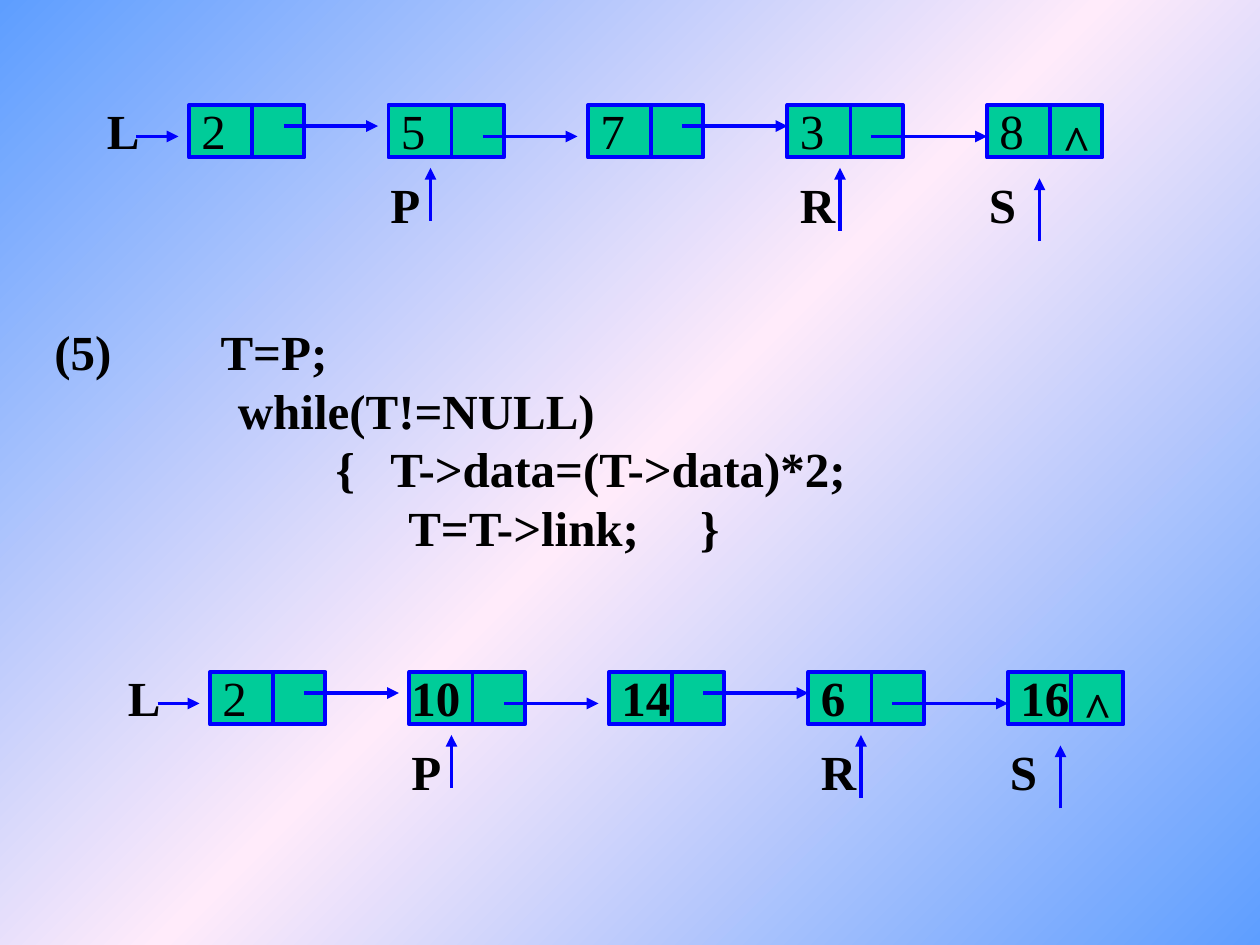
from dataclasses import dataclass
from typing import Any

import lxml.etree
import pptx
import pptx.dml.color
import pptx.enum.shapes
import pptx.enum.text
import pptx.oxml.ns
import pptx.util

Pt = pptx.util.Pt
qn = pptx.oxml.ns.qn

COLORS = {"ink": "000000", "line": "0000FF", "node": "00CC99", "edge": "5E9EFF", "middle": "FFEBFA"}
FONT = {"name": "Times New Roman", "size": Pt(28), "bold": True}
PITCH, NODE_W, NODE_H, SPLIT, TEXT_H = 114, 66, 30, 36, 41


@dataclass
class Label:
    text: str
    x: float
    y: float
    w: float
    bold: bool = True


@dataclass
class Line:
    x1: float
    y1: float
    x2: float
    y2: float
    arrow: bool = True


@dataclass
class LinkedList:
    x: float
    y: float
    values: list[Label]


LABELS = [
    Label("L", -54, -6, 36),
    Label("P", 108, 36, 84),
    Label("R", 342, 36, 60),
    Label("S", 450, 36, 54),
    Label("^", 4 * PITCH + SPLIT, 0, 30),
]
ARROWS = [
    Line(-30, 18, -6, 18),
    Line(54, 12, 108, 12),
    Line(168, 18, 222, 18),
    Line(282, 12, 342, 12),
    Line(390, 18, 456, 18),
    Line(138, 66, 138, 36),
    Line(372, 72, 372, 36),
    Line(486, 78, 486, 42),
]
BEFORE = [Label(v, i * PITCH, -6, 36, False) for i, v in enumerate("25738")]
AFTER = [
    Label("2", 0, -6, 36, False),
    Label("10", 108, -6, 48),
    Label("14", 228, -6, 72),
    Label("6", 342, -6, 36),
    Label("16", 456, -6, 60),
]
LISTS = [LinkedList(108, 60, BEFORE), LinkedList(120, 384, AFTER)]
CODE = [
    ("(5)\tT=P;", [95]),
    (" " * 15 + "while(T!=NULL)", []),
    (" " * 23 + "{\tT->data=(T->data)*2;", [192]),
    (" " * 29 + "T=T->link;\t}", [369]),
]


def rgb(name: str) -> pptx.dml.color.RGBColor:
    """Return the named colour."""
    return pptx.dml.color.RGBColor.from_string(COLORS[name])


def set_background(s: Any) -> None:
    """Fill the slide with a three-stop diagonal gradient."""
    fill = s.background.fill
    fill.gradient()
    grad = s._element.find(".//" + qn("a:gradFill"))
    for child in list(grad):
        grad.remove(child)
    stops = lxml.etree.SubElement(grad, qn("a:gsLst"))
    for pos, name in ((0, "edge"), (50000, "middle"), (100000, "edge")):
        stop = lxml.etree.SubElement(stops, qn("a:gs"), pos=str(pos))
        lxml.etree.SubElement(stop, qn("a:srgbClr"), val=COLORS[name])
    lxml.etree.SubElement(grad, qn("a:lin"), ang="13500000", scaled="0")


def add_run(p: Any, text: str, bold: bool) -> None:
    """Add a formatted run to a paragraph."""
    r = p.add_run()
    r.text = text
    for key, value in {**FONT, "bold": bold}.items():
        setattr(r.font, key, value)
    r.font.color.rgb = rgb("ink")


def add_box(shapes: Any, x: float, y: float, w: float, h: float) -> Any:
    """Add an empty wrapping text box and return its text frame."""
    tf = shapes.add_textbox(Pt(x), Pt(y), Pt(w), Pt(h)).text_frame
    tf.word_wrap = True
    tf.auto_size = pptx.enum.text.MSO_AUTO_SIZE.SHAPE_TO_FIT_TEXT
    return tf


def add_line(shapes: Any, line: Line, x: float, y: float) -> None:
    """Draw a straight line offset by x and y."""
    c = shapes.add_connector(
        pptx.enum.shapes.MSO_CONNECTOR.STRAIGHT,
        Pt(x + line.x1), Pt(y + line.y1), Pt(x + line.x2), Pt(y + line.y2),
    )
    c.line.color.rgb = rgb("line")
    c.line.width = Pt(2.25)
    sp_pr = c._element.spPr
    if line.arrow:
        lxml.etree.SubElement(sp_pr.find(qn("a:ln")), qn("a:tailEnd"), type="triangle")
    lxml.etree.SubElement(sp_pr, qn("a:effectLst"))


def add_node(shapes: Any, x: float, y: float) -> None:
    """Draw a list node with its data and link cells."""
    sp = shapes.add_shape(
        pptx.enum.shapes.MSO_SHAPE.RECTANGLE, Pt(x), Pt(y), Pt(NODE_W), Pt(NODE_H)
    )
    sp.shadow.inherit = False
    sp.fill.solid()
    sp.fill.fore_color.rgb = rgb("node")
    sp.line.color.rgb = rgb("line")
    sp.line.width = Pt(2.25)
    add_line(shapes, Line(SPLIT, 0, SPLIT, NODE_H, False), x, y)


def add_list(s: Any, chain: LinkedList) -> None:
    """Draw a linked list with its pointers as one group."""
    shapes = s.shapes.add_group_shape().shapes
    for i in range(len(chain.values)):
        add_node(shapes, chain.x + i * PITCH, chain.y)
    for arrow in ARROWS:
        add_line(shapes, arrow, chain.x, chain.y)
    for label in LABELS + chain.values:
        tf = add_box(shapes, chain.x + label.x, chain.y + label.y, label.w, TEXT_H)
        add_run(tf.paragraphs[0], label.text, label.bold)


def add_code(s: Any) -> None:
    """Write the numbered code fragment."""
    tf = add_box(s.shapes, 24, 180, 630, 142)
    for i, (text, tabs) in enumerate(CODE):
        p = tf.add_paragraph() if i else tf.paragraphs[0]
        if tabs:
            tab_list = lxml.etree.SubElement(p._p.get_or_add_pPr(), qn("a:tabLst"))
            for pos in tabs:
                lxml.etree.SubElement(tab_list, qn("a:tab"), pos=str(Pt(pos)), algn="l")
        add_run(p, text, True)


def main() -> None:
    """Build and save the slide."""
    prs = pptx.Presentation()
    prs.slide_width, prs.slide_height = Pt(720), Pt(540)
    s = prs.slides.add_slide(prs.slide_layouts[6])
    set_background(s)
    add_code(s)
    for chain in LISTS:
        add_list(s, chain)
    prs.save("out.pptx")


if __name__ == "__main__":
    main()
